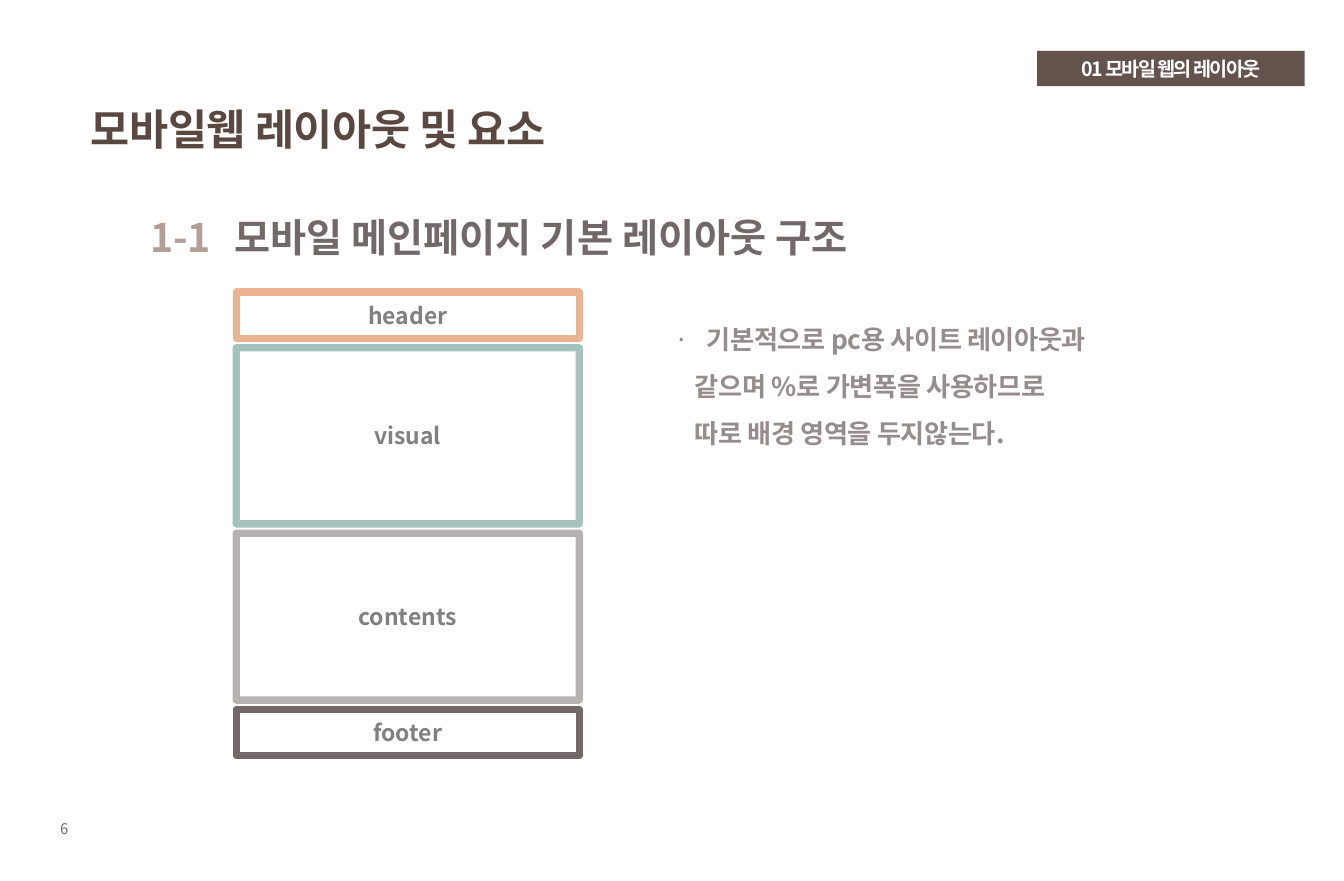
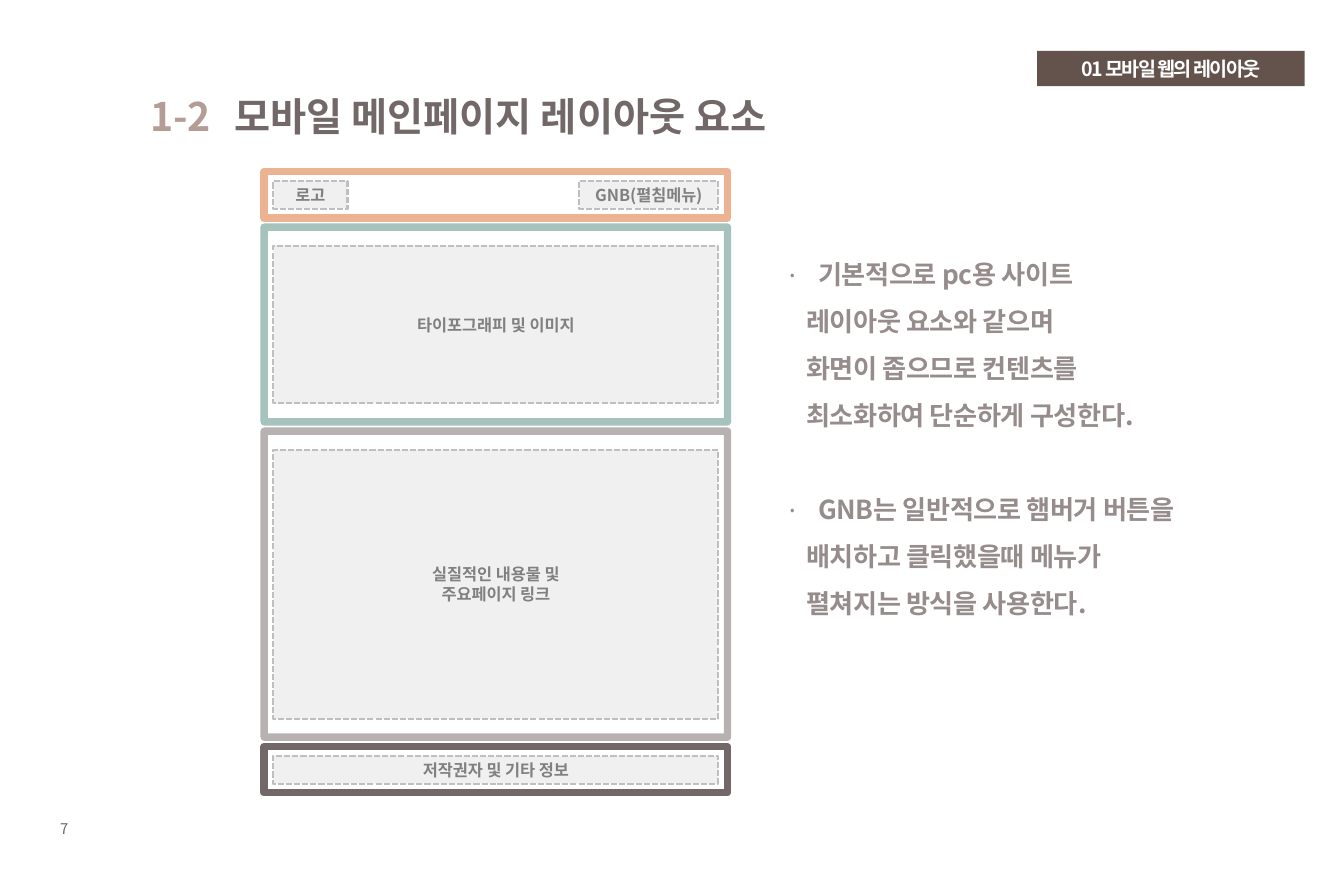
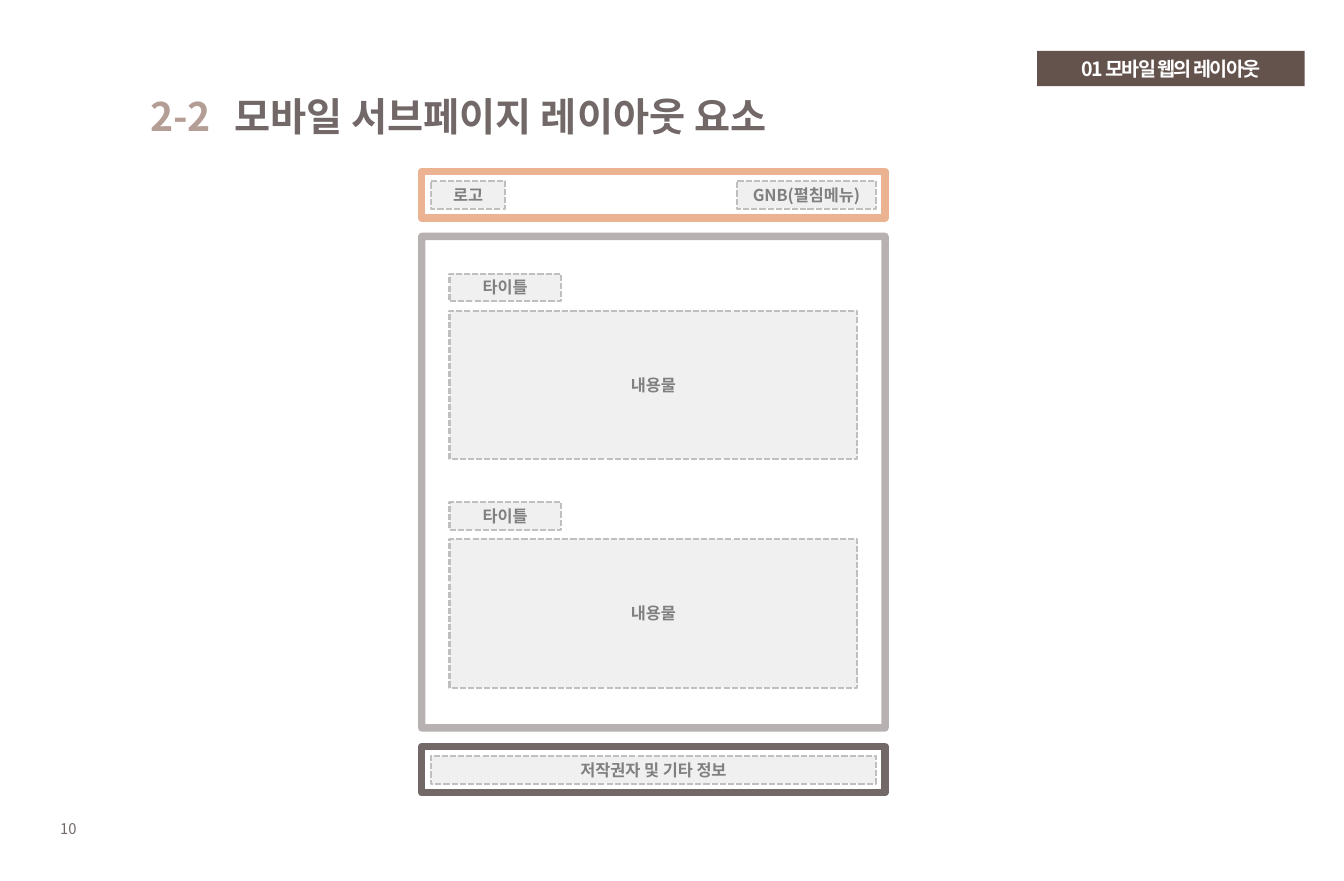
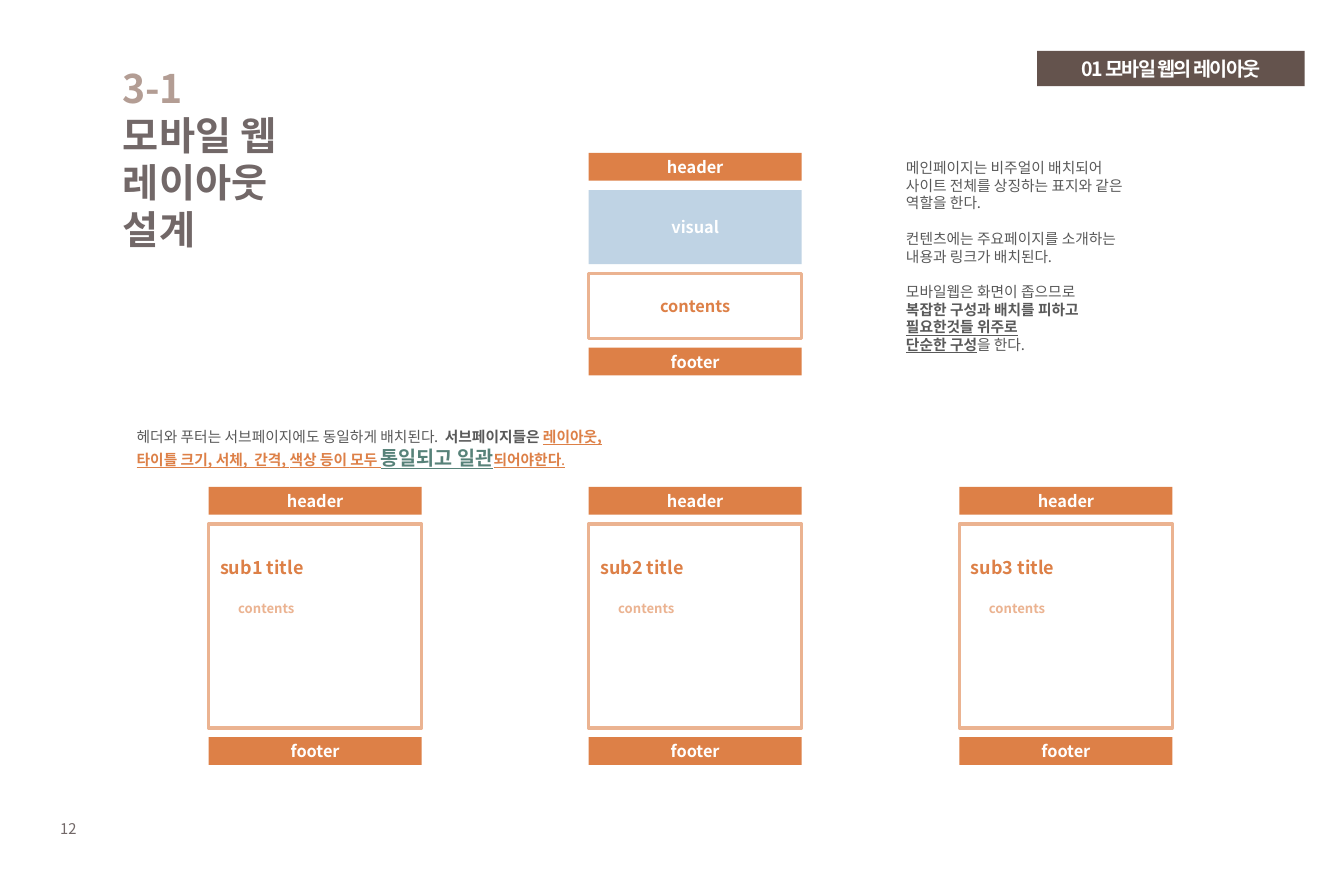
"""Build four slides on the layout of mobile web pages."""
from dataclasses import dataclass
from typing import Optional

from lxml.etree import SubElement
from pptx import Presentation
from pptx.dml.color import RGBColor
from pptx.enum.dml import MSO_LINE
from pptx.enum.shapes import MSO_SHAPE
from pptx.enum.text import MSO_ANCHOR, MSO_AUTO_SIZE, PP_ALIGN
from pptx.oxml.ns import qn
from pptx.util import Cm, Pt

FONT = "Noto Sans CJK KR"
BROWN, TAUPE, ROSE, STONE = "594740", "726868", "B39D94", "968C8C"
ORANGE, PEACH, GREEN, BLUE = "DD8047", "EBB391", "578279", "BFD3E4"
GRAY, DARK, WHITE = "808080", "595959", "FFFFFF"


@dataclass(frozen=True)
class Style:
    """Fill, outline and label format of a block."""
    fill: Optional[str] = None
    fill_alpha: int = 100
    line: Optional[str] = None
    line_alpha: int = 100
    width: float = 4.5
    dash: bool = False
    color: str = GRAY
    size: float = 14


@dataclass(frozen=True)
class Block:
    """One block of a stacked page layout."""
    h: float
    style: Style
    text: str = ""


@dataclass(frozen=True)
class Part:
    """One dashed element, placed relative to the left of its page."""
    x: float
    y: float
    w: float
    h: float
    text: str


HEADER = Style(line=PEACH)
VISUAL = Style(line="7BA79D", line_alpha=67)
CONTENTS = Style(line="8E8282", line_alpha=61)
FOOTER = Style(line=TAUPE)
PART = Style(fill="D9D9D9", fill_alpha=37, line="BFBFBF", width=1.25, dash=True, size=10)
BAR = Style(fill=ORANGE, color=WHITE, size=10)
PICTURE = Style(fill=BLUE, color=WHITE, size=10)
PANEL = Style(line=PEACH, width=2, color=ORANGE, size=10)
BAND = Style(fill=BROWN, fill_alpha=93)

FRAME_PARTS = [
    Part(0.2, 3.9, 1.6, 0.6, "로고"),
    Part(6.8, 3.9, 3, 0.6, "GNB(펼침메뉴)"),
    Part(0.2, 16.3, 9.6, 0.6, "저작권자 및 기타 정보"),
]


def paint(fill, color: str, alpha: int = 100) -> None:
    """Make a fill solid, with an opacity in percent."""
    fill.solid()
    fill.fore_color.rgb = RGBColor.from_string(color)
    if alpha < 100:
        clr = fill._xPr.find(qn("a:solidFill"))[0]
        SubElement(clr, qn("a:alpha"), val=str(alpha * 1000))


def add_run(p, text: str, *, size: float, color: str, bold: bool = True,
            underline: bool = False, spc: float = 0) -> None:
    """Add a formatted run to a paragraph."""
    r = p.add_run()
    r.text = text
    f = r.font
    f.size, f.bold, f.name = Pt(size), bold, FONT
    f.underline = underline or None
    paint(f.fill, color)
    rpr = r._r.get_or_add_rPr()
    SubElement(rpr, qn("a:ea"), typeface=FONT)
    if spc:
        rpr.set("spc", str(round(spc * 100)))


def add_para(tf, *, align=PP_ALIGN.LEFT, before: float = 0, spacing: float = 1.0,
             left: float = 0):
    """Return the first paragraph while it is empty, else a new one."""
    p = tf.paragraphs[0] if not tf.paragraphs[0].runs else tf.add_paragraph()
    p.alignment, p.line_spacing = align, spacing
    p.space_before, p.space_after = Pt(before), Pt(0)
    if left:
        p._p.get_or_add_pPr().set("marL", str(Cm(left)))
    return p


def place(sp, x: float, y: float, w: float, h: float):
    """Move and size a placeholder and return its text frame."""
    sp.left, sp.top, sp.width, sp.height = Cm(x), Cm(y), Cm(w), Cm(h)
    tf = sp.text_frame
    tf.word_wrap, tf.auto_size = True, MSO_AUTO_SIZE.NONE
    return tf


def add_box(s, x: float, y: float, w: float, h: float, wrap: bool = True):
    """Add a text box and return its text frame."""
    tf = s.shapes.add_textbox(Cm(x), Cm(y), Cm(w), Cm(h)).text_frame
    tf.word_wrap = wrap
    return tf


def add_block(s, x: float, y: float, w: float, h: float, style: Style, text: str = ""):
    """Add a rectangle with a centred label and return its text frame."""
    sp = s.shapes.add_shape(MSO_SHAPE.RECTANGLE, Cm(x), Cm(y), Cm(w), Cm(h))
    sp.shadow.inherit = False
    if style.fill:
        paint(sp.fill, style.fill, style.fill_alpha)
    else:
        sp.fill.background()
    if style.line:
        sp.line.width = Pt(style.width)
        paint(sp.line.fill, style.line, style.line_alpha)
        if style.dash:
            sp.line.dash_style = MSO_LINE.SQUARE_DOT
    else:
        sp.line.fill.background()
    tf = sp.text_frame
    tf.vertical_anchor = MSO_ANCHOR.MIDDLE
    for line in text.splitlines():
        p = add_para(tf, align=PP_ALIGN.CENTER)
        add_run(p, line, size=style.size, color=style.color)
    return tf


def add_stack(s, x: float, y: float, w: float, gap: float, blocks: list[Block]) -> None:
    """Stack blocks downwards with equal gaps."""
    for b in blocks:
        add_block(s, x, y, w, b.h, b.style, b.text)
        y += b.h + gap


def add_parts(s, x: float, parts: list[Part]) -> None:
    """Draw the dashed elements of a page whose left edge is x."""
    for part in parts:
        add_block(s, x + part.x, part.y, part.w, part.h, PART, part.text)


def add_title(s, number: str, lines: list[str], x: float, y: float, w: float,
              h: float) -> None:
    """Fill the title with a number and one line beside it or more below it."""
    tf = place(s.shapes.title, x, y, w, h)
    tf.vertical_anchor = MSO_ANCHOR.MIDDLE
    p = add_para(tf)
    add_run(p, number, size=24, color=ROSE, spc=-0.2)
    if len(lines) == 1:
        tabs = SubElement(p._p.get_or_add_pPr(), qn("a:tabLst"))
        SubElement(tabs, qn("a:tab"), pos=str(Cm(1.8)), algn="l")
        add_run(p, "\t" + lines[0], size=24, color=TAUPE)
        return
    for line in lines:
        add_run(add_para(tf), line, size=24, color=TAUPE)


def add_list(s, items: list[list[str]], x: float, y: float, w: float, h: float) -> None:
    """Fill the body with bulleted items, each broken into lines."""
    tf = place(s.placeholders[1], x, y, w, h)
    for i, item in enumerate(items):
        for j, line in enumerate(item):
            first = j == 0
            p = add_para(tf, before=28.8 if i and first else 0, spacing=1.5,
                         left=0.7 if first else 0.44)
            ppr = p._p.get_or_add_pPr()
            ppr.set("indent", str(Cm(-0.7)) if first else "0")
            if first:
                SubElement(ppr, qn("a:buFont"), typeface=FONT)
                SubElement(ppr, qn("a:buChar"), char="·")
            else:
                SubElement(ppr, qn("a:buNone"))
            add_run(p, line, size=16, color=STONE, spc=-0.2)


def new_slide(prs, layout: int, number: int):
    """Add a slide with the section band and the page number."""
    s = prs.slides.add_slide(prs.slide_layouts[layout])
    p = add_para(add_box(s, 1.05, 17.55, 1.37, 0.63, wrap=False))
    add_run(p, str(number), size=9, color=TAUPE, bold=False)
    tf = add_block(s, 22.38, 1.1, 5.77, 0.76, BAND)
    p = add_para(tf, align=PP_ALIGN.CENTER)
    add_run(p, "01 모바일 웹의 레이아웃", size=12, color=WHITE, spc=-1)
    return s


def main_structure(prs) -> None:
    """Show the basic structure of a main page."""
    s = new_slide(prs, 1, 6)
    p = add_para(add_box(s, 1.7, 2.1, 23.2, 1.6))
    add_run(p, "모바일웹 레이아웃 및 요소", size=26, color=BROWN, spc=-0.2)
    add_title(s, "1-1", ["모바일 메인페이지 기본 레이아웃 구조"], 3, 4.1, 20.9, 2)
    add_stack(s, 5.1, 6.3, 7.4, 0.2, [
        Block(1, HEADER, "header"), Block(3.8, VISUAL, "visual"),
        Block(3.6, CONTENTS, "contents"), Block(1, FOOTER, "footer")])
    add_list(s, [["기본적으로 pc용 사이트 레이아웃과", "같으며 %로 가변폭을 사용하므로",
                  "따로 배경 영역을 두지않는다."]], 14.3, 6.5, 12.8, 6)


def main_elements(prs) -> None:
    """Show the elements of a main page."""
    s = new_slide(prs, 1, 7)
    add_title(s, "1-2", ["모바일 메인페이지 레이아웃 요소"], 3, 1.5, 17.5, 2)
    add_stack(s, 5.7, 3.7, 10, 0.2, [
        Block(1, HEADER), Block(4.2, VISUAL), Block(6.6, CONTENTS), Block(1, FOOTER)])
    add_parts(s, 5.7, FRAME_PARTS + [
        Part(0.2, 5.3, 9.6, 3.4, "타이포그래피 및 이미지"),
        Part(0.2, 9.7, 9.6, 5.8, "실질적인 내용물 및\n주요페이지 링크")])
    add_list(s, [
        ["기본적으로 pc용 사이트", "레이아웃 요소와 같으며", "화면이 좁으므로 컨텐츠를",
         "최소화하여 단순하게 구성한다."],
        ["GNB는 일반적으로 햄버거 버튼을", "배치하고 클릭했을때 메뉴가",
         "펼쳐지는 방식을 사용한다."]], 16.7, 5.1, 10.2, 9.6)


def sub_elements(prs) -> None:
    """Show the elements of a sub page."""
    s = new_slide(prs, 5, 10)
    add_title(s, "2-2", ["모바일 서브페이지 레이아웃 요소"], 3, 1.5, 17.5, 2)
    add_stack(s, 9.1, 3.7, 10, 0.4, [
        Block(1, HEADER), Block(10.6, CONTENTS), Block(1, FOOTER)])
    add_parts(s, 9.1, FRAME_PARTS)
    for y in (5.9, 10.83):
        add_parts(s, 9.1, [Part(0.6, y, 2.4, 0.6, "타이틀"),
                           Part(0.6, y + 0.8, 8.8, 3.2, "내용물")])


def layout_design(prs) -> None:
    """Compare the main page with its sub pages."""
    s = new_slide(prs, 5, 12)
    add_title(s, "3-1", ["모바일 웹", "레이아웃", "설계"], 2.4, 1.73, 6.7, 3.37)
    header, footer = Block(0.6, BAR, "header"), Block(0.6, BAR, "footer")
    add_stack(s, 12.7, 3.3, 4.6, 0.2, [
        header, Block(1.6, PICTURE, "visual"), Block(1.4, PANEL, "contents"), footer])

    for i, x in enumerate((4.5, 12.7, 20.7), 1):
        add_stack(s, x, 10.5, 4.6, 0.2, [header, Block(4.4, PANEL), footer])
        tf = add_box(s, x, 11.3, 4.6, 4.4)
        tf.margin_top = Cm(0.7)
        add_run(add_para(tf), f"sub{i} title", size=11, color=ORANGE)
        p = add_para(tf, before=13.6, left=0.39)
        add_run(p, "contents", size=8, color=PEACH)

    tf = add_box(s, 19.3, 3.3, 5.77, 4.5)
    groups = [
        ["메인페이지는 비주얼이 배치되어", "사이트 전체를 상징하는 표지와 같은", "역할을 한다."],
        ["컨텐츠에는 주요페이지를 소개하는", "내용과 링크가 배치된다."],
        ["모바일웹은 화면이 좁으므로"],
    ]
    for i, group in enumerate(groups):
        for j, line in enumerate(group):
            p = add_para(tf, before=10.8 if i and j == 0 else 0)
            add_run(p, line, size=9, color=DARK, bold=False)
    add_run(add_para(tf), "복잡한 구성과 배치를 피하고", size=9, color=DARK)
    add_run(add_para(tf), "필요한것들 위주로", size=9, color=DARK, underline=True)
    p = add_para(tf)
    add_run(p, "단순한 구성", size=9, color=DARK, underline=True)
    add_run(p, "을 한다.", size=9, color=DARK, bold=False)

    tf = add_box(s, 2.7, 9.1, 17, 1.15)
    p = add_para(tf)
    add_run(p, "헤더와 푸터는 서브페이지에도 동일하게 배치된다.  ", size=9, color=DARK, bold=False)
    add_run(p, "서브페이지들은 ", size=9, color=DARK)
    add_run(p, "레이아웃,", size=9, color=ORANGE, underline=True)
    p = add_para(tf)
    add_run(p, "타이틀 크기, 서체,  간격, 색상 등이 모두 ", size=9, color=ORANGE, underline=True)
    add_run(p, "통일되고 일관", size=12, color=GREEN, underline=True)
    add_run(p, "되어야한다", size=9, color=ORANGE, underline=True)
    add_run(p, ".", size=9, color=ORANGE, bold=False, underline=True)


def main() -> None:
    """Build and save the presentation."""
    prs = Presentation()
    prs.slide_width, prs.slide_height = Cm(29), Cm(19)
    for build in (main_structure, main_elements, sub_elements, layout_design):
        build(prs)
    prs.save("out.pptx")


if __name__ == "__main__":
    main()
